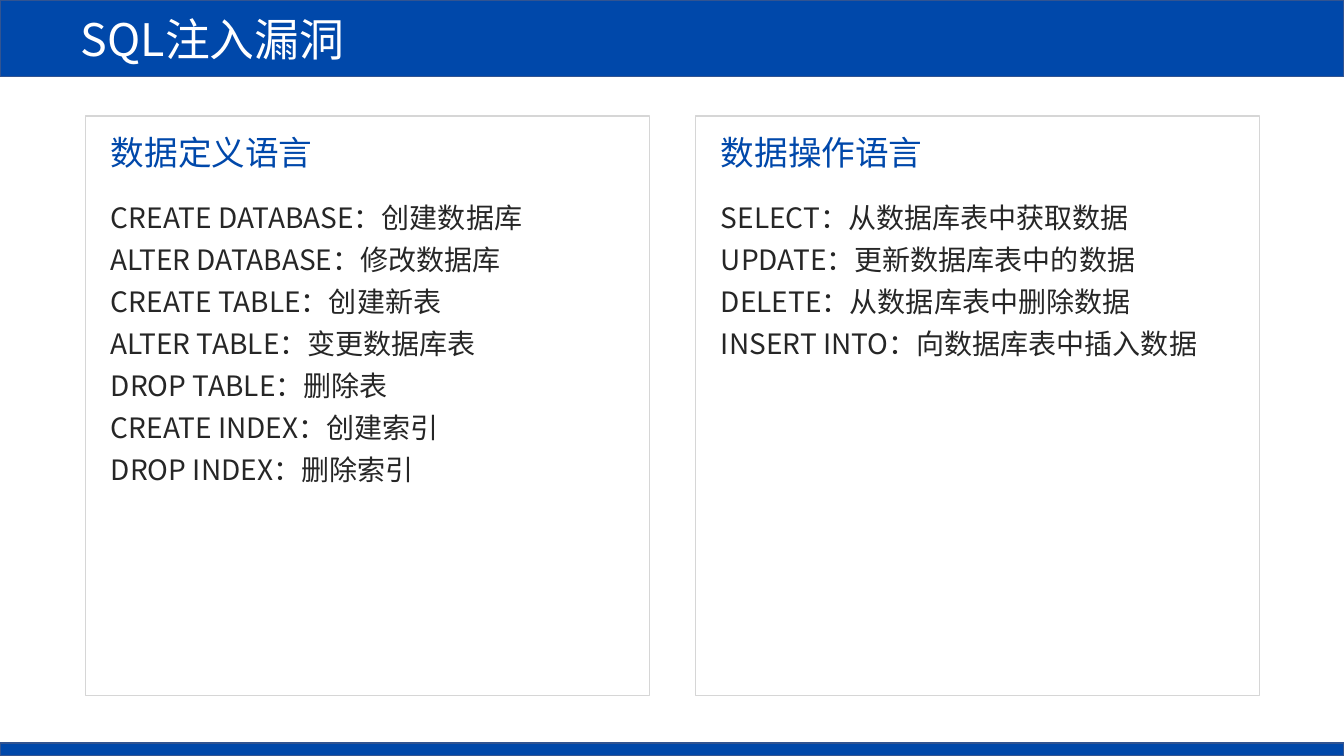
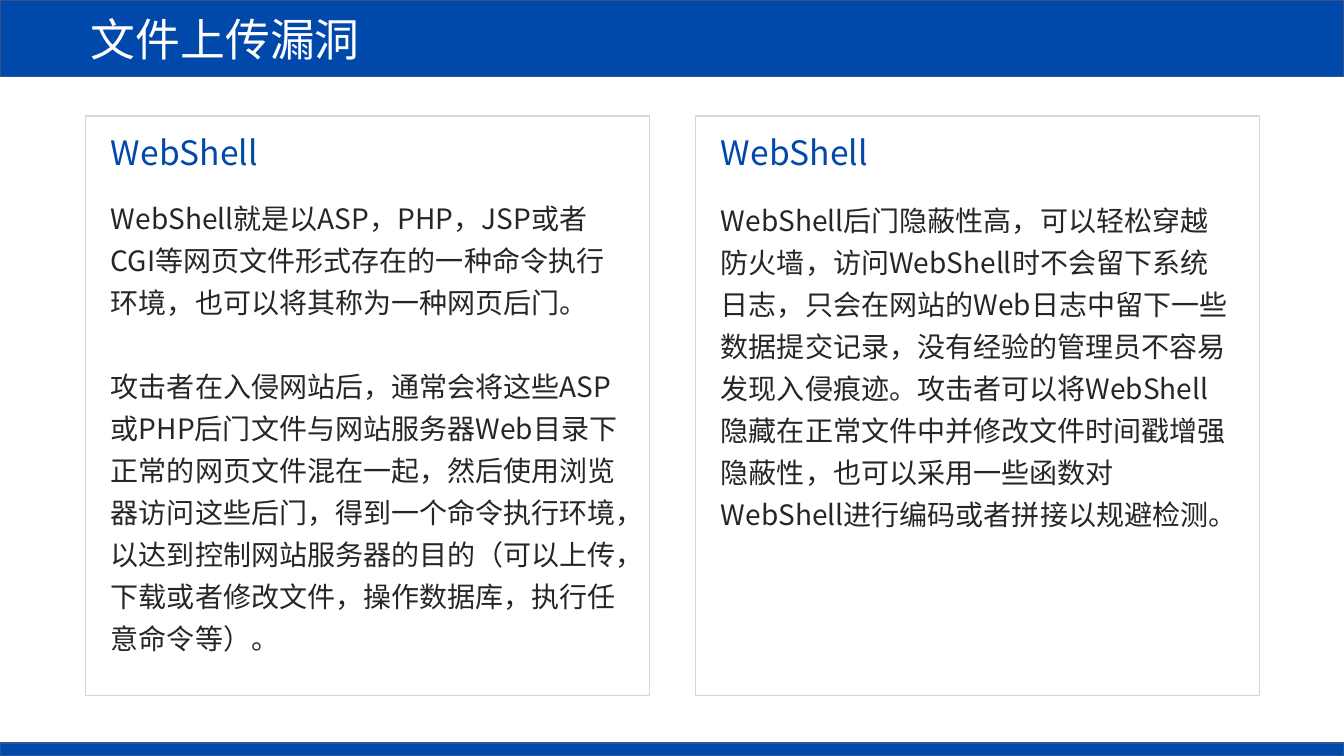
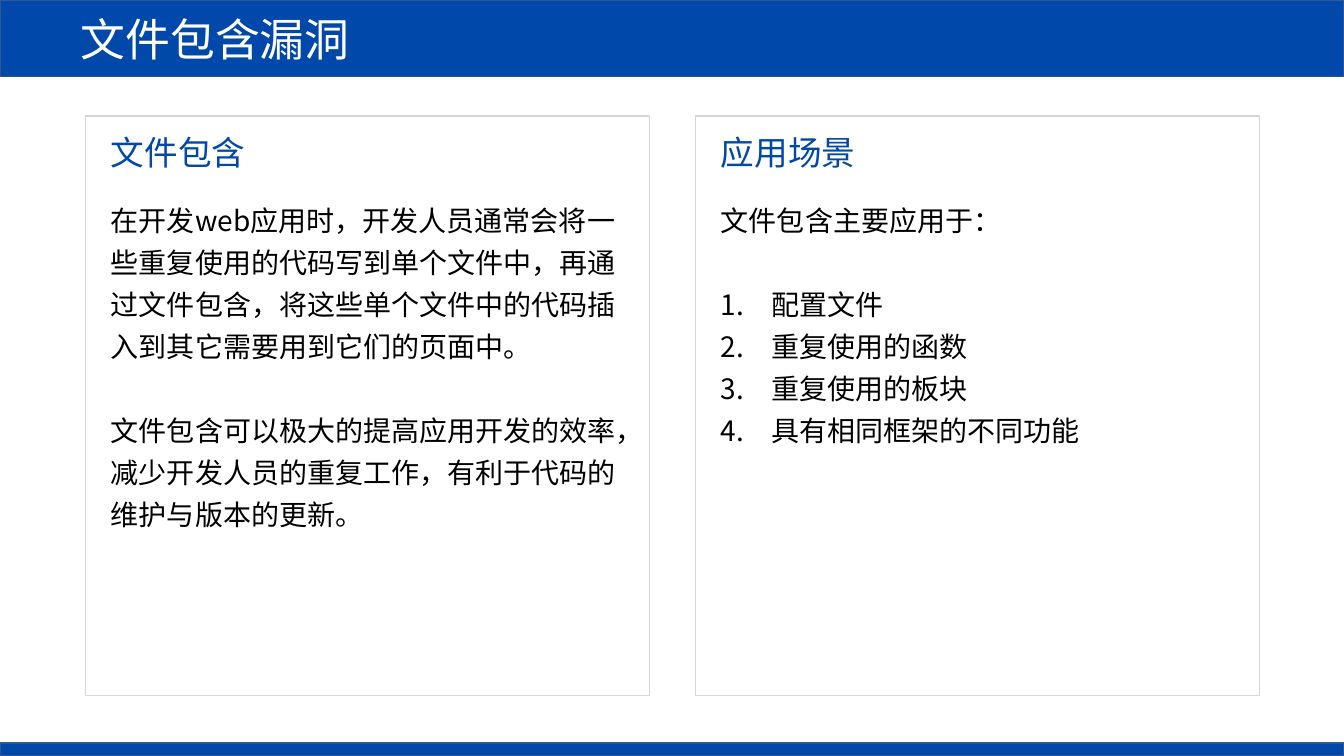
from dataclasses import dataclass

from lxml import etree
from pptx import Presentation
from pptx import util as u
from pptx.dml.color import RGBColor
from pptx.enum import shapes, text
from pptx.oxml.ns import qn


@dataclass(frozen=True)
class Theme:
    face: str = "Noto Sans CJK SC"
    blue: RGBColor = RGBColor(0x00, 0x48, 0xAA)
    band_edge: RGBColor = RGBColor(0x32, 0x54, 0x91)
    card_edge: RGBColor = RGBColor(0xD6, 0xD6, 0xD6)
    white: RGBColor = RGBColor(0xFF, 0xFF, 0xFF)
    dark: RGBColor = RGBColor(0x26, 0x26, 0x26)
    black: RGBColor = RGBColor(0x00, 0x00, 0x00)
    title_size: int = 32
    heading_size: int = 24
    body_size: int = 20
    line_spacing: float = 1.25
    section_gap: int = 30


theme = Theme()


def place(holder, left, top, width, height):
    """Move a placeholder and stop it from resizing its text."""
    holder.left, holder.top = u.Inches(left), u.Inches(top)
    holder.width, holder.height = u.Inches(width), u.Inches(height)
    holder.text_frame.word_wrap = True
    holder.text_frame.auto_size = text.MSO_AUTO_SIZE.NONE
    return holder.text_frame


def style(paragraph, size, color, numbered=False):
    """Set list marker, indent, alignment and font of a paragraph."""
    props = paragraph._p.get_or_add_pPr()
    indent = u.Inches(0.5) if numbered else 0
    props.set("marL", str(indent))
    props.set("indent", str(-indent))
    if numbered:
        etree.SubElement(props, qn("a:buFont"), typeface="+mj-lt")
        etree.SubElement(props, qn("a:buAutoNum"), type="arabicPeriod")
    else:
        etree.SubElement(props, qn("a:buNone"))
    paragraph.alignment = text.PP_ALIGN.LEFT
    paragraph.space_before = u.Pt(0)
    font = paragraph.font
    font.name, font.size, font.bold = theme.face, u.Pt(size), False
    font.color.rgb = color
    etree.SubElement(props.find(qn("a:defRPr")), qn("a:ea"), typeface=theme.face)


# Content: each card is heading, paragraphs, and the positions that open
# a new section; entries from first_number on are numbered.
lessons = [
    {
        "title": "SQL注入漏洞", "inset": 0.8, "color": theme.dark,
        "cards": [
            {"heading": "数据定义语言", "top": 1.86, "paragraphs": [
                "CREATE DATABASE：创建数据库",
                "ALTER DATABASE：修改数据库",
                "CREATE TABLE：创建新表",
                "ALTER TABLE：变更数据库表",
                "DROP TABLE：删除表",
                "CREATE INDEX：创建索引",
                "DROP INDEX：删除索引",
            ]},
            {"heading": "数据操作语言", "top": 1.86, "paragraphs": [
                "SELECT：从数据库表中获取数据",
                "UPDATE：更新数据库表中的数据",
                "DELETE：从数据库表中删除数据",
                "INSERT INTO：向数据库表中插入数据",
            ]},
        ],
    },
    {
        "title": "文件上传漏洞", "inset": 0.9, "color": theme.dark,
        "cards": [
            {"heading": "WebShell", "top": 1.87, "sections": [1], "paragraphs": [
                "WebShell就是以ASP，PHP，JSP或者CGI等网页文件形式存在的一种"
                "命令执行环境，也可以将其称为一种网页后门。",
                "攻击者在入侵网站后，通常会将这些ASP或PHP后门文件与网站服务器"
                "Web目录下正常的网页文件混在一起，然后使用浏览器访问这些后门，"
                "得到一个命令执行环境，以达到控制网站服务器的目的（可以上传，"
                "下载或者修改文件，操作数据库，执行任意命令等）。",
            ]},
            {"heading": "WebShell", "top": 1.89, "paragraphs": [
                "WebShell后门隐蔽性高，可以轻松穿越防火墙，访问WebShell时不会"
                "留下系统日志，只会在网站的Web日志中留下一些数据提交记录，"
                "没有经验的管理员不容易发现入侵痕迹。攻击者可以将WebShell隐藏在"
                "正常文件中并修改文件时间戳增强隐蔽性，也可以采用一些函数对"
                "WebShell进行编码或者拼接以规避检测。",
            ]},
        ],
    },
    {
        "title": "文件包含漏洞", "inset": 0.8, "color": theme.black,
        "cards": [
            {"heading": "文件包含", "top": 1.89, "sections": [1], "paragraphs": [
                "在开发web应用时，开发人员通常会将一些重复使用的代码写到单个文件中，"
                "再通过文件包含，将这些单个文件中的代码插入到其它需要用到它们的页面中。",
                "文件包含可以极大的提高应用开发的效率，减少开发人员的重复工作，"
                "有利于代码的维护与版本的更新。",
            ]},
            {"heading": "应用场景", "top": 1.89, "sections": [1], "first_number": 1,
             "paragraphs": [
                "文件包含主要应用于：",
                "配置文件",
                "重复使用的函数",
                "重复使用的板块",
                "具有相同框架的不同功能",
            ]},
        ],
    },
]

deck = Presentation()
deck.slide_width, deck.slide_height = u.Inches(13.33), u.Inches(7.5)
comparison = deck.slide_layouts.get_by_name("Comparison")

for lesson in lessons:
    slide = deck.slides.add_slide(comparison)

    # Title band and footer band
    title = slide.shapes.title
    title_frame = place(title, 0, 0, 13.33, 0.76)
    title_frame.text = lesson["title"]
    title_frame.margin_left = u.Inches(lesson["inset"])
    title_frame.vertical_anchor = text.MSO_ANCHOR.MIDDLE
    style(title_frame.paragraphs[0], theme.title_size, theme.white)
    footer = slide.shapes.add_shape(
        shapes.MSO_SHAPE.RECTANGLE, 0, u.Inches(7.37), u.Inches(13.33), u.Inches(0.13))
    footer.shadow.inherit = False
    for band in (title, footer):
        band.fill.solid()
        band.fill.fore_color.rgb = theme.blue
        band.line.color.rgb = theme.band_edge
        band.line.width = u.Pt(1)

    # Two cards side by side
    for column, card in enumerate(lesson["cards"]):
        left = 0.85 + column * 6.05
        frame = slide.shapes.add_shape(
            shapes.MSO_SHAPE.RECTANGLE,
            u.Inches(left), u.Inches(1.15), u.Inches(5.59), u.Inches(5.75))
        frame.shadow.inherit = False
        frame.fill.background()
        frame.line.color.rgb = theme.card_edge
        frame.line.width = u.Pt(1)

        heading = place(slide.placeholders[1 + 2 * column], left + 0.15, 1.26, 3.88, 0.5)
        heading.text = card["heading"]
        heading.vertical_anchor = text.MSO_ANCHOR.TOP
        style(heading.paragraphs[0], theme.heading_size, theme.blue)

        body = place(slide.placeholders[2 + 2 * column], left + 0.15, card["top"], 5.28, 4.69)
        body.text = "\n".join(card["paragraphs"])
        first_number = card.get("first_number", len(card["paragraphs"]))
        for position, paragraph in enumerate(body.paragraphs):
            style(paragraph, theme.body_size, lesson["color"], position >= first_number)
            paragraph.line_spacing = theme.line_spacing
            if position in card.get("sections", []):
                paragraph.space_before = u.Pt(theme.section_gap)

deck.save("out.pptx")
